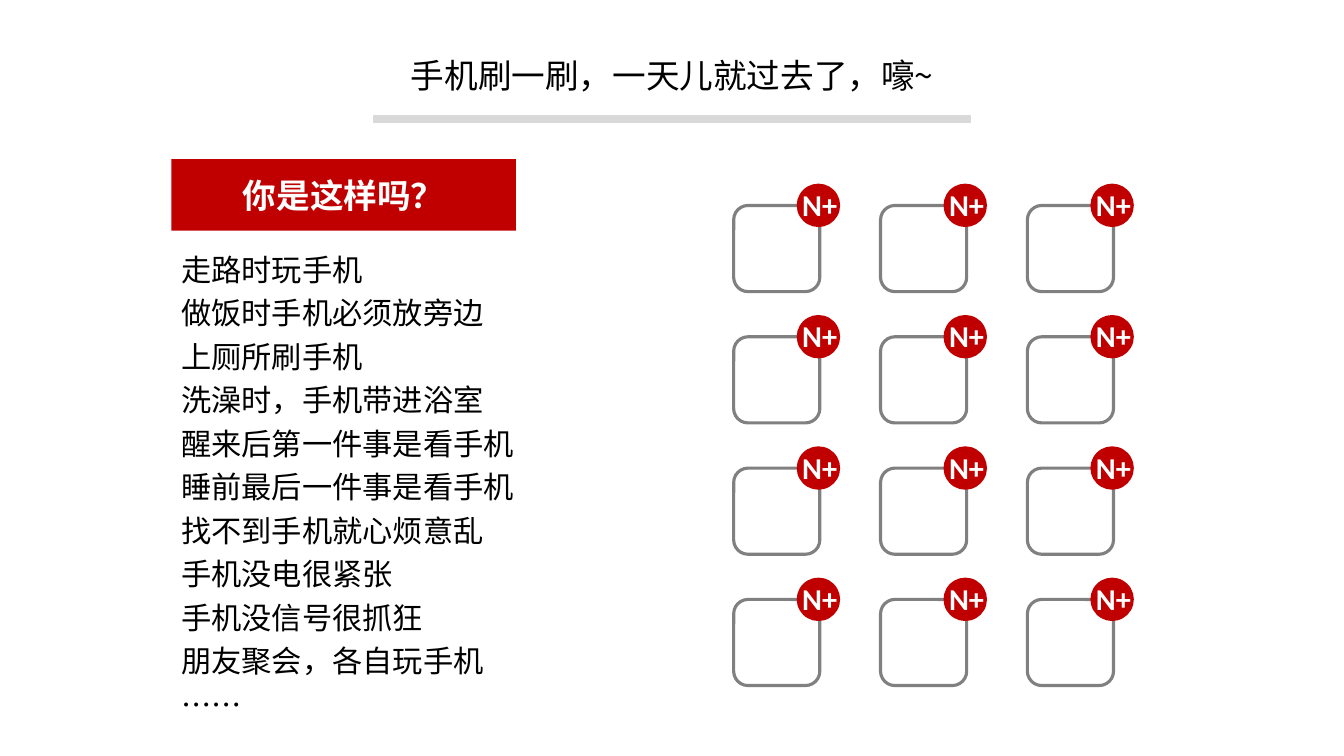
"""Build a slide about phone habits with a grid of app icons."""
import pptx
import pptx.dml.color
import pptx.enum.shapes
import pptx.enum.text
import pptx.oxml
import pptx.oxml.ns
import pptx.util

Pt = pptx.util.Pt
SHAPES = pptx.enum.shapes.MSO_SHAPE
ALIGN = pptx.enum.text.PP_ALIGN
COLORS = {"red": "C00000", "outline": "808080", "rule": "D9D9D9",
          "text": "000000", "white": "FFFFFF"}
COLORS = {name: pptx.dml.color.RGBColor.from_string(value) for name, value in COLORS.items()}
CHINESE_FONT = "Noto Sans CJK SC"

deck = pptx.Presentation()
deck.slide_width, deck.slide_height = Pt(960), Pt(540)
page = deck.slides.add_slide(deck.slide_layouts[6])


def write_text(box, text, size, color, font, align, bold=False, spacing=None):
    box.text_frame.word_wrap = True
    box.text_frame.text = text
    for para in box.text_frame.paragraphs:
        para.alignment = align
        para.line_spacing = spacing
        for span in para.runs:
            span.font.size = Pt(size)
            span.font.name = font
            span.font.bold = bold
            span.font.color.rgb = COLORS[color]
            east_asian = pptx.oxml.parse_xml(
                f'<a:ea {pptx.oxml.ns.nsdecls("a")} typeface="{font}"/>')
            span.font._element.append(east_asian)


def add_panel(kind, left, top, width, height, fill=None):
    panel = page.shapes.add_shape(kind, Pt(left), Pt(top), Pt(width), Pt(height))
    panel.shadow.inherit = False
    if fill:
        panel.fill.solid()
        panel.fill.fore_color.rgb = COLORS[fill]
        panel.line.fill.background()
    else:
        panel.fill.background()
        panel.line.color.rgb = COLORS["outline"]
        panel.line.width = Pt(2.25)
    return panel


title = page.shapes.add_textbox(Pt(280.8), Pt(19.4), Pt(398.9), Pt(51.1))
title.text_frame.margin_top = Pt(4.8)
write_text(title, "手机刷一刷，一天儿就过去了，嚎~", 24, "text", CHINESE_FONT,
           ALIGN.CENTER, spacing=Pt(43.9))

rule = page.shapes.add_connector(
    pptx.enum.shapes.MSO_CONNECTOR.STRAIGHT, Pt(266.4), Pt(85), Pt(693.8), Pt(85))
rule.line.color.rgb = COLORS["rule"]
rule.line.width = Pt(6)
rule._element.spPr.append(
    pptx.oxml.parse_xml(f'<a:effectLst {pptx.oxml.ns.nsdecls("a")}/>'))

for row in range(4):
    for column in range(3):
        left = 524.1 + column * 104.9
        top = 146.8 + row * 93.8
        add_panel(SHAPES.ROUNDED_RECTANGLE, left, top, 61.5, 61.5)
        add_panel(SHAPES.OVAL, left + 45, top - 15.6, 31, 31, "red")
        badge = page.shapes.add_textbox(Pt(left + 21.8), Pt(top - 17.2), Pt(79.2), Pt(33.1))
        write_text(badge, "N+", 21.6, "white", "Calibri", ALIGN.CENTER, bold=True)

habits = [
    "走路时玩手机",
    "做饭时手机必须放旁边",
    "上厕所刷手机",
    "洗澡时，手机带进浴室",
    "醒来后第一件事是看手机",
    "睡前最后一件事是看手机",
    "找不到手机就心烦意乱",
    "手机没电很紧张",
    "手机没信号很抓狂",
    "朋友聚会，各自玩手机",
    "……",
]
habit_list = page.shapes.add_textbox(Pt(122.4), Pt(168.5), Pt(290.9), Pt(352.8))
habit_list.text_frame.margin_top = Pt(5.5)
write_text(habit_list, "\n".join(habits), 21.6, "text", CHINESE_FONT,
           ALIGN.LEFT, spacing=Pt(31.1))

heading = add_panel(SHAPES.RECTANGLE, 122.4, 113.6, 246.2, 51.1, "red")
heading.text_frame.vertical_anchor = pptx.enum.text.MSO_ANCHOR.MIDDLE
write_text(heading, "你是这样吗？", 24, "white", CHINESE_FONT, ALIGN.CENTER, bold=True)

deck.save("out.pptx")
